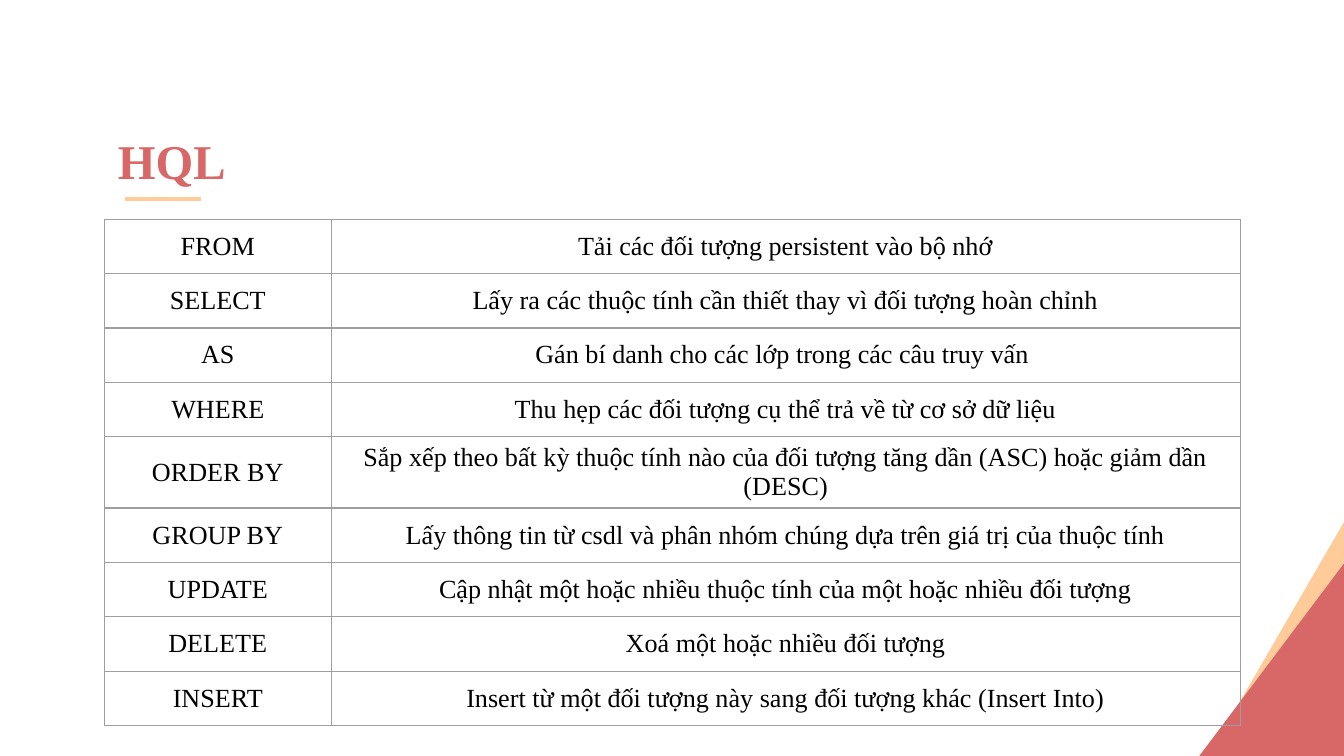
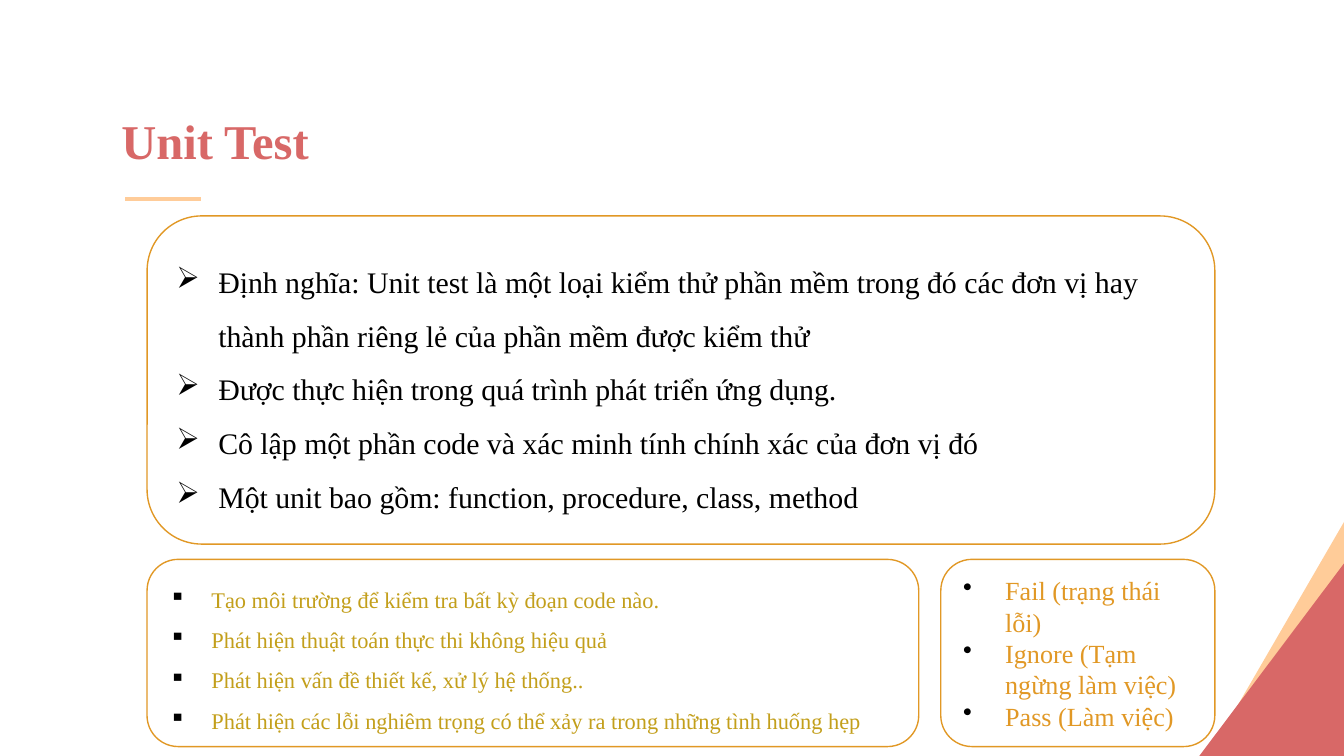
from dataclasses import dataclass

from lxml.etree import SubElement
from pptx import Presentation
from pptx.dml.color import RGBColor
from pptx.enum.shapes import MSO_CONNECTOR as Connector, MSO_SHAPE as ShapeKind
from pptx.enum.text import MSO_ANCHOR as Anchor, MSO_AUTO_SIZE as AutoSize, PP_ALIGN as Align
from pptx.oxml.ns import qn
from pptx.util import Pt


@dataclass(frozen=True)
class Theme:
    font: str = "Times New Roman"
    coral: str = "D86867"
    peach: str = "FFCC99"
    orange: str = "E19825"
    olive: str = "C39F1B"
    black: str = "000000"
    grid: str = "9E9E9E"
    title_size: int = 26
    lead_size: int = 16
    body_size: int = 14
    small_size: int = 12
    rule_width: float = 2.25
    thin_width: float = 0.75


THEME = Theme()
TITLE_LAYOUT = 5
INDENT = Pt(22.5)

CLAUSES = [
    ("FROM", "Tải các đối tượng persistent vào bộ nhớ"),
    ("SELECT", "Lấy ra các thuộc tính cần thiết thay vì đối tượng hoàn chỉnh"),
    ("AS", "Gán bí danh cho các lớp trong các câu truy vấn "),
    ("WHERE", "Thu hẹp các đối tượng cụ thể trả về từ cơ sở dữ liệu"),
    ("ORDER BY", "Sắp xếp theo bất kỳ thuộc tính nào của đối tượng tăng dần (ASC) hoặc giảm dần (DESC)"),
    ("GROUP BY", "Lấy thông tin từ csdl và phân nhóm chúng dựa trên giá trị của thuộc tính"),
    ("UPDATE", "Cập nhật một hoặc nhiều thuộc tính của một hoặc nhiều đối tượng"),
    ("DELETE", "Xoá một hoặc nhiều đối tượng"),
    ("INSERT", "Insert từ một đối tượng này sang đối tượng khác (Insert Into)"),
]
DEFINITION = [
    "Định nghĩa: Unit test là một loại kiểm thử phần mềm trong đó các đơn vị hay "
    "thành phần riêng lẻ của phần mềm được kiểm thử",
    "Được thực hiện trong quá trình phát triển ứng dụng.",
    "Cô lập một phần code và xác minh tính chính xác của đơn vị đó",
    "Một unit bao gồm: function, procedure, class, method",
]
BENEFITS = [
    "Tạo môi trường để kiểm tra bất kỳ đoạn code nào.",
    "Phát hiện thuật toán thực thi không hiệu quả",
    "Phát hiện vấn đề thiết kế, xử lý hệ thống..",
    "Phát hiện các lỗi nghiêm trọng có thể xảy ra trong những tình huống hẹp",
]
STATES = ["Fail (trạng thái lỗi)", "Ignore (Tạm ngừng làm việc)", "Pass (Làm việc)"]


def color(value):
    return RGBColor.from_string(value)


def set_font(paragraph, size, value, bold=False):
    font = paragraph.font
    font.name, font.size, font.bold = THEME.font, Pt(size), bold
    font.color.rgb = color(value)


def add_triangle(slide, corners, fill):
    start, *others = [(Pt(x), Pt(y)) for x, y in corners]
    builder = slide.shapes.build_freeform(*start, scale=1)
    builder.add_line_segments(others, close=True)
    triangle = builder.convert_to_shape()
    triangle.shadow.inherit = False
    triangle.fill.solid()
    triangle.fill.fore_color.rgb = color(fill)
    triangle.line.fill.background()


def add_title_rule(slide):
    rule = slide.shapes.add_connector(Connector.STRAIGHT, Pt(67), Pt(106.6), Pt(107.5), Pt(106.6))
    rule.line.color.rgb = color(THEME.peach)
    rule.line.width = Pt(THEME.rule_width)
    SubElement(rule._element.spPr, qn("a:effectLst"))


def add_titled_slide(presentation, text, left, top):
    slide = presentation.slides.add_slide(presentation.slide_layouts[TITLE_LAYOUT])
    add_triangle(slide, [(645, 409), (723.6, 411), (723, 274.5)], THEME.peach)
    add_triangle(slide, [(722.2, 299), (723, 407.5), (641, 407)], THEME.coral)
    add_title_rule(slide)
    title = slide.shapes.title
    title.left, title.top, title.width, title.height = Pt(left), Pt(top), Pt(614), Pt(41)
    frame = title.text_frame
    frame.text = text
    frame.auto_size = AutoSize.NONE
    frame.vertical_anchor = Anchor.BOTTOM
    frame.margin_left = frame.margin_right = frame.margin_top = frame.margin_bottom = Pt(7.2)
    paragraph = frame.paragraphs[0]
    paragraph.alignment = Align.LEFT
    set_font(paragraph, THEME.title_size, THEME.coral, bold=True)
    return slide


def add_borders(cell):
    properties = cell._tc.get_or_add_tcPr()
    for side in ("lnL", "lnR", "lnT", "lnB"):
        border = SubElement(properties, qn(f"a:{side}"), w=str(Pt(THEME.thin_width)))
        SubElement(SubElement(border, qn("a:solidFill")), qn("a:srgbClr"), val=THEME.grid)


def add_grid(slide, rows, left, top, widths, row_height):
    frame = slide.shapes.add_table(len(rows), len(widths), Pt(left), Pt(top),
                                   Pt(sum(widths)), Pt(row_height * len(rows)))
    table = frame.table
    table.first_row = table.horz_banding = False
    for column, width in zip(table.columns, widths):
        column.width = Pt(width)
    for row, texts in zip(table.rows, rows):
        row.height = Pt(row_height)
        for cell, text in zip(row.cells, texts):
            cell.text = text
            cell.vertical_anchor = Anchor.MIDDLE
            add_borders(cell)
            cell.fill.background()
            paragraph = cell.text_frame.paragraphs[0]
            paragraph.alignment = Align.CENTER
            set_font(paragraph, THEME.body_size, THEME.black)


def add_bullet(paragraph, mark):
    properties = paragraph._p.get_or_add_pPr()
    properties.set("marL", str(INDENT))
    properties.set("indent", str(-INDENT))
    SubElement(SubElement(properties, qn("a:buClr")), qn("a:srgbClr"), val=THEME.black)
    SubElement(properties, qn("a:buChar"), char=mark)


def add_list_card(slide, items, box, mark, size, text_color, spacing=1.0):
    card = slide.shapes.add_shape(ShapeKind.ROUNDED_RECTANGLE, *map(Pt, box))
    card.shadow.inherit = False
    card.fill.background()
    card.line.color.rgb = color(THEME.orange)
    card.line.width = Pt(THEME.thin_width)
    frame = card.text_frame
    frame.word_wrap = True
    frame.vertical_anchor = Anchor.MIDDLE
    frame.text = "\n".join(items)
    for paragraph in frame.paragraphs:
        add_bullet(paragraph, mark)
        paragraph.alignment = Align.LEFT
        paragraph.line_spacing = spacing
        set_font(paragraph, size, text_color)


def main():
    presentation = Presentation()
    presentation.slide_width, presentation.slide_height = Pt(720), Pt(405)

    hql = add_titled_slide(presentation, "HQL", 56, 67.5)
    add_grid(hql, CLAUSES, left=56, top=117.4, widths=(121.4, 487), row_height=29.15)

    unit_test = add_titled_slide(presentation, "Unit Test", 57.8, 57)
    add_list_card(unit_test, DEFINITION, (78.8, 115.7, 572, 175.8), "➢",
                  THEME.lead_size, THEME.black, spacing=1.5)
    add_list_card(unit_test, BENEFITS, (78.8, 299.7, 413.4, 100.3), "▪",
                  THEME.small_size, THEME.olive, spacing=1.5)
    add_list_card(unit_test, STATES, (504, 299.7, 146.8, 100.3), "•",
                  THEME.body_size, THEME.orange)

    presentation.save("out.pptx")


if __name__ == "__main__":
    main()
